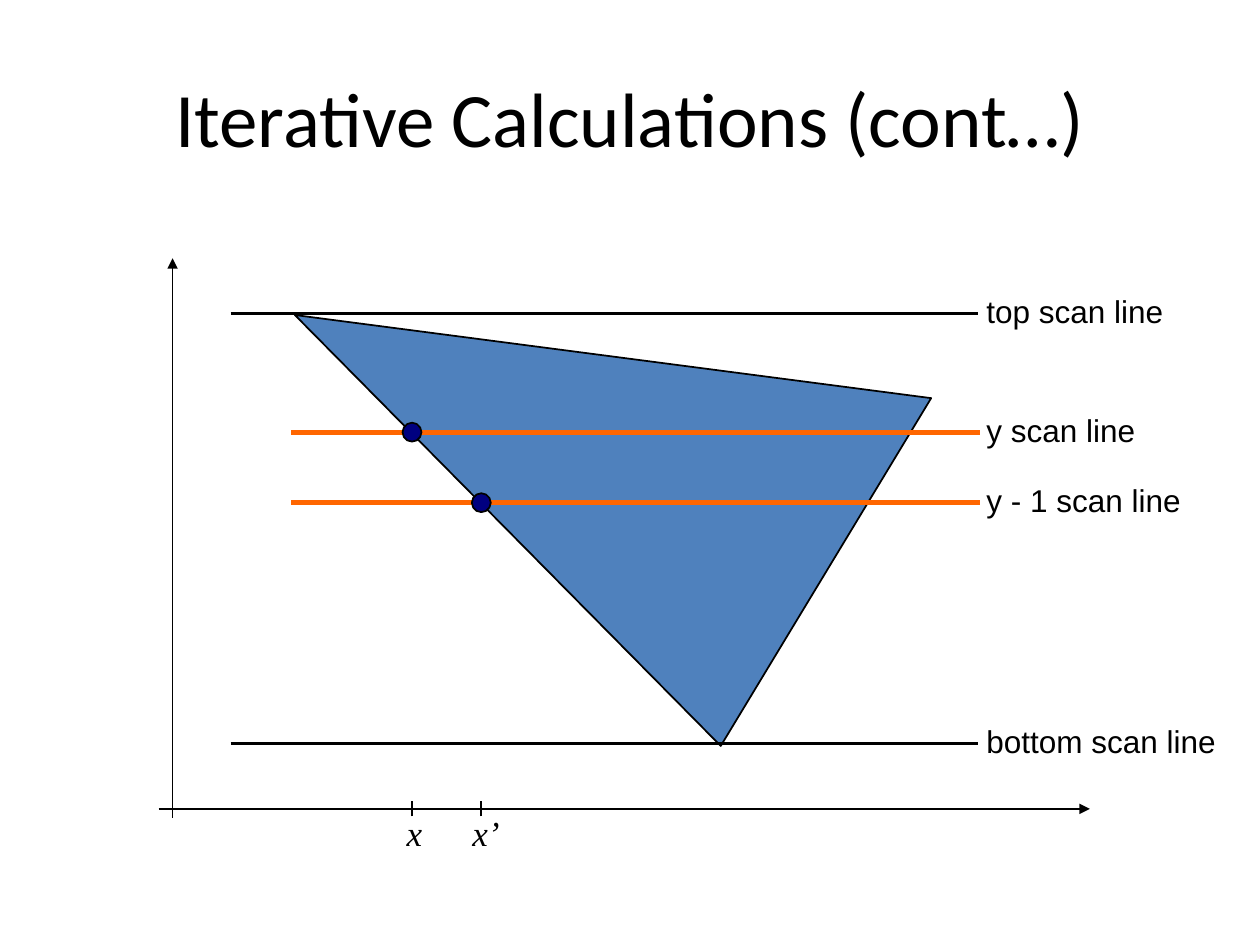
from dataclasses import dataclass

from lxml.etree import SubElement
from pptx import Presentation
from pptx.dml.color import RGBColor
from pptx.enum.shapes import MSO_CONNECTOR as CONNECTOR, MSO_SHAPE as SHAPE
from pptx.enum.text import MSO_ANCHOR as ANCHOR, MSO_AUTO_SIZE as AUTO_SIZE, PP_ALIGN as ALIGN
from pptx.oxml.ns import qn
from pptx.util import Inches, Pt


@dataclass(frozen=True)
class Theme:
    """Colours, fonts, type sizes and line widths of the slide."""
    ink: RGBColor = RGBColor(0, 0, 0)
    triangle: RGBColor = RGBColor(0x4F, 0x81, 0xBD)
    scan: RGBColor = RGBColor(0xFF, 0x66, 0x00)
    dot: RGBColor = RGBColor(0, 0, 0x80)
    title_font: str = "Calibri"
    label_font: str = "Arial"
    math_font: str = "Times New Roman"
    title_size: float = 44
    label_size: float = 18
    math_size: float = 20
    thin: float = 1
    medium: float = 1.75
    thick: float = 3


@dataclass(frozen=True)
class Box:
    """A region in inches, with points measured from its top left corner."""
    left: float
    top: float
    width: float
    height: float

    def point(self, x, y):
        """Return the slide position of a point in the box."""
        return Inches(self.left + x), Inches(self.top + y)


THEME = Theme()
TITLE_BOX = Box(0.5, 0.3, 9, 1.25)
PLOT_BOX = Box(1.26, 2.05, 7.39, 4.44)
LABEL_LEFT = 6.47
DOT_SIZE = 0.15
AXIS_X, AXIS_Y = 0.11, 4.37
TRIANGLE = [(1.08, 0.45), (4.46, 3.87), (6.13, 1.11)]
EDGE_SCANS = [("top scan line", 0.44, 1.64), ("bottom scan line", 3.85, 2.06)]
STEP_SCANS = [("y scan line", 1.38, 1.42, 2.01), ("y - 1 scan line", 1.94, 1.78, 2.56)]
TICKS = [("x", 2.01, 1.87, 0.34), ("x’", 2.56, 2.39, 0.45)]


def add_text(slide, box, text, font, size, italic=False):
    """Add one line of text in the box and return its frame."""
    shape = slide.shapes.add_textbox(
        *box.point(0, 0), Inches(box.width), Inches(box.height))
    frame = shape.text_frame
    frame.word_wrap = False
    frame.auto_size = AUTO_SIZE.SHAPE_TO_FIT_TEXT
    paragraph = frame.paragraphs[0]
    paragraph.text = text
    paragraph.font.name = font
    paragraph.font.size = Pt(size)
    paragraph.font.italic = italic
    paragraph.font.color.rgb = THEME.ink
    return frame


def add_line(slide, box, start, end, width, color=THEME.ink, arrow=False):
    """Draw a straight line between two points of the box."""
    connector = slide.shapes.add_connector(
        CONNECTOR.STRAIGHT, *box.point(*start), *box.point(*end))
    connector.line.color.rgb = color
    connector.line.width = Pt(width)
    if arrow:
        SubElement(connector.line._get_or_add_ln(), qn("a:tailEnd"), type="triangle")
    SubElement(connector._element.spPr, qn("a:effectLst"))


def style_shape(shape, color):
    """Give a shape a solid fill and a thin outline."""
    shape.shadow.inherit = False
    shape.fill.solid()
    shape.fill.fore_color.rgb = color
    shape.line.color.rgb = THEME.ink
    shape.line.width = Pt(THEME.thin)


def add_title(slide, box):
    """Place the centred slide title."""
    frame = add_text(slide, box, "Iterative Calculations (cont…)",
                     THEME.title_font, THEME.title_size)
    frame.word_wrap = True
    frame.auto_size = AUTO_SIZE.NONE
    frame.vertical_anchor = ANCHOR.MIDDLE
    frame.paragraphs[0].alignment = ALIGN.CENTER


def add_triangle(slide, box):
    """Draw the filled triangle."""
    first, *others = [box.point(*corner) for corner in TRIANGLE]
    builder = slide.shapes.build_freeform(*first)
    builder.add_line_segments(others, close=True)
    style_shape(builder.convert_to_shape(), THEME.triangle)


def add_scan_label(slide, box, text, y, width):
    """Write a label at the right end of a scan line."""
    label_box = Box(box.left + LABEL_LEFT, box.top + y - 0.22, width, 0.4)
    add_text(slide, label_box, text, THEME.label_font, THEME.label_size)


def add_scan_lines(slide, box):
    """Draw the scan lines, their crossing dots and their labels."""
    for text, y, width in EDGE_SCANS:
        add_line(slide, box, (0.57, y), (6.5, y), THEME.medium)
        add_scan_label(slide, box, text, y, width)
    for text, y, width, x in STEP_SCANS:
        add_line(slide, box, (1.05, y), (6.52, y), THEME.thick, THEME.scan)
        corner = box.point(x - DOT_SIZE / 2, y - DOT_SIZE / 2)
        dot = slide.shapes.add_shape(
            SHAPE.OVAL, *corner, Inches(DOT_SIZE), Inches(DOT_SIZE))
        style_shape(dot, THEME.dot)
        add_scan_label(slide, box, text, y, width)


def add_axes(slide, box):
    """Draw both axes and the labelled ticks."""
    add_line(slide, box, (AXIS_X, box.height), (AXIS_X, 0), THEME.thin, arrow=True)
    add_line(slide, box, (0, AXIS_Y), (box.width, AXIS_Y), THEME.thin, arrow=True)
    for text, x, left, width in TICKS:
        add_line(slide, box, (x, AXIS_Y + 0.06), (x, AXIS_Y - 0.06), THEME.thin)
        label_box = Box(box.left + left, box.top + AXIS_Y - 0.03, width, 0.44)
        add_text(slide, label_box, text, THEME.math_font, THEME.math_size, italic=True)


def main():
    """Build and save the slide."""
    presentation = Presentation()
    presentation.slide_width = Inches(10)
    presentation.slide_height = Inches(7.5)
    slide = presentation.slides.add_slide(presentation.slide_layouts[6])
    add_title(slide, TITLE_BOX)
    add_triangle(slide, PLOT_BOX)
    add_scan_lines(slide, PLOT_BOX)
    add_axes(slide, PLOT_BOX)
    presentation.save("out.pptx")


if __name__ == "__main__":
    main()
